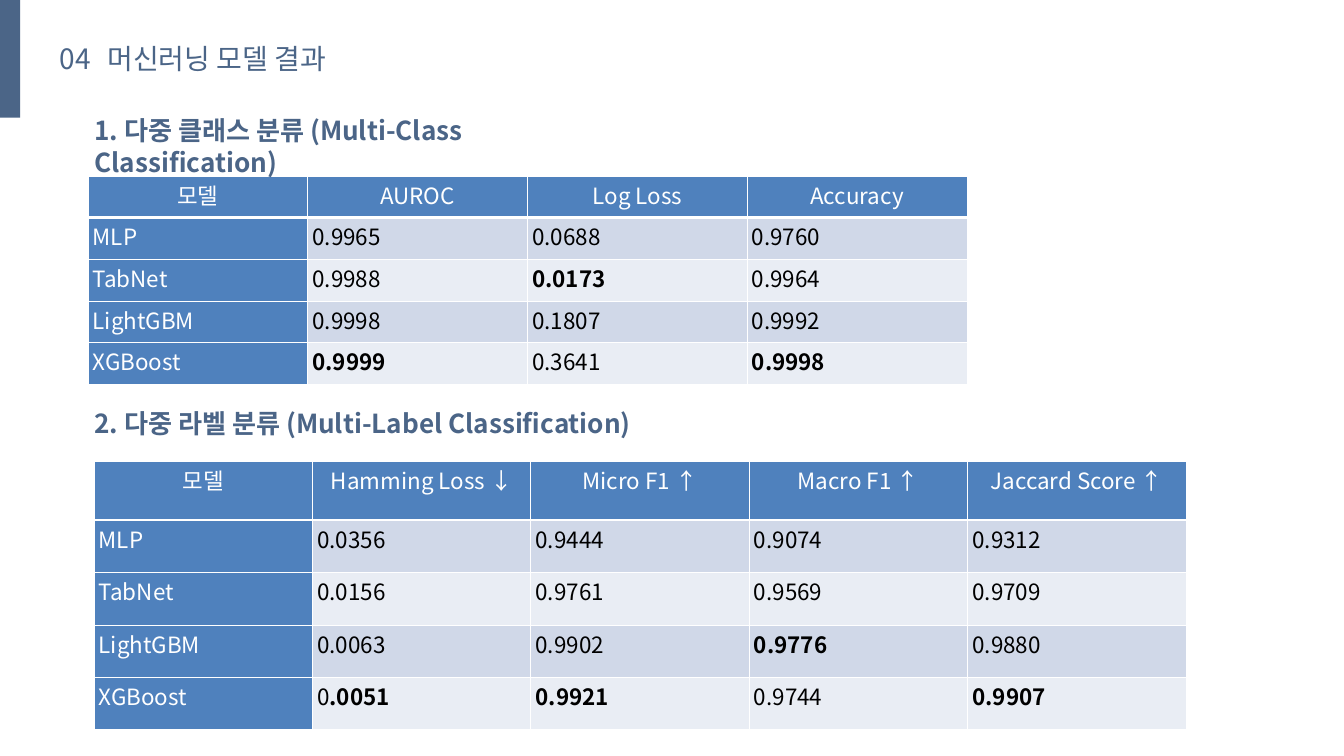
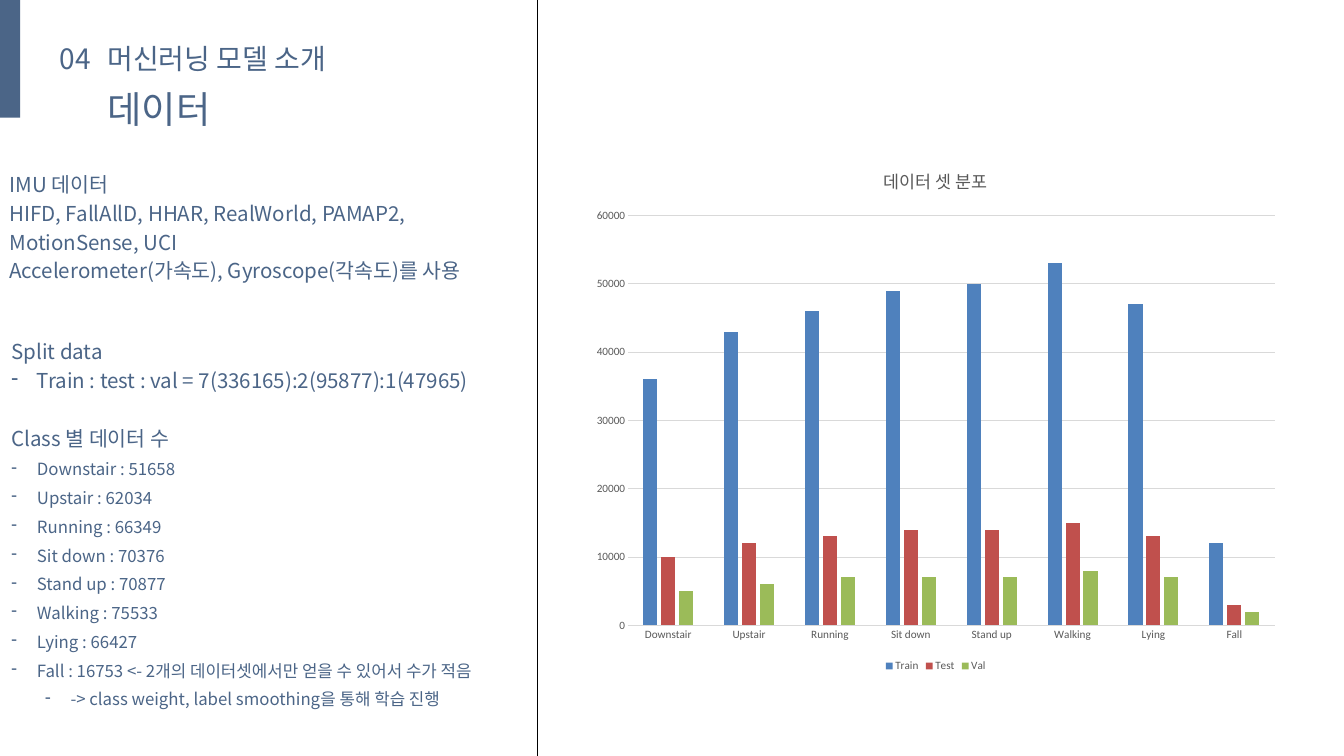
from lxml import etree
from pptx import Presentation
from pptx.chart import data as cd
from pptx.dml import color
from pptx.enum import chart as ce
from pptx.enum import shapes, text
from pptx.oxml import ns
from pptx.util import Inches, Pt

COLORS = {
    "navy": "4B6587", "white": "FFFFFF", "black": "000000",
    "header": "4F81BD", "band_dark": "D0D8E8", "band_light": "E9EDF4",
    "train": "4F81BD", "test": "C0504D", "val": "9BBB59",
    "label": "595959", "grid": "D9D9D9",
}
BODY = "Noto Sans CJK KR"
TABLE = "Noto Sans CJK SC"
CHART = "Calibri"


def rgb(name):
    return color.RGBColor.from_string(COLORS[name])


def sub(parent, tag, **attrs):
    return etree.SubElement(parent, ns.qn(tag), attrs)


class Deck:
    def __init__(self):
        self.prs = Presentation()
        self.prs.slide_width, self.prs.slide_height = Inches(20), Inches(11.25)
        self.s = None

    def new_slide(self, title):
        self.s = self.prs.slides.add_slide(self.prs.slide_layouts[6])
        sp = self.s.shapes.add_shape(
            shapes.MSO_SHAPE.RECTANGLE, 0, 0, Inches(0.3), Inches(1.75))
        sp.shadow.inherit = False
        sp.fill.solid()
        sp.fill.fore_color.rgb = rgb("navy")
        sp.line.fill.background()
        self.text(0.89, 0.54, 0.71, 0.58, ["04"], 30, 42)
        self.text(1.6, 0.54, 5.44, 0.58, [title], 30, 42)

    def style(self, r, size, fill="navy", font=BODY, bold=False):
        r.font.size, r.font.name, r.font.bold = Pt(size), font, bold
        r.font.color.rgb = rgb(fill)
        sub(r._r.get_or_add_rPr(), "a:ea", typeface=font)

    def box(self, x, y, w, h):
        tf = self.s.shapes.add_textbox(
            Inches(x), Inches(y), Inches(w), Inches(h)).text_frame
        tf.word_wrap = True
        return tf

    def text(self, x, y, w, h, lines, size, spacing):
        tf = self.box(x, y, w, h)
        tf.margin_left = tf.margin_top = tf.margin_right = tf.margin_bottom = 0
        tf.text = "\n".join(lines)
        for p in tf.paragraphs:
            p.line_spacing = Pt(spacing)
            self.style(p.runs[0], size)
        return tf

    def heading(self, x, y, w, title):
        tf = self.box(x, y, w, 0.57)
        tf.vertical_anchor = text.MSO_ANCHOR.MIDDLE
        tf.text = title
        self.style(tf.paragraphs[0].runs[0], 28, bold=True)

    def bullet(self, p, level=0):
        p.level = level
        pPr = p._p.get_or_add_pPr()
        pPr.set("marL", str(Inches(0.38 + 0.5 * level)))
        pPr.set("indent", str(-Inches(0.38)))
        sub(pPr, "a:buChar", char="-")

    def border(self, tcPr, side, width):
        ln = sub(tcPr, f"a:ln{side}", w=str(Pt(width)))
        sub(sub(ln, "a:solidFill"), "a:srgbClr", val=COLORS["white"])

    def cell(self, cell, content, row, col):
        cell.margin_left = cell.margin_right = Inches(0.07)
        cell.margin_top = cell.margin_bottom = 0
        tcPr = cell._tc.get_or_add_tcPr()
        for side in "LRTB":
            thick = (side, row) in (("B", 0), ("T", 1))
            self.border(tcPr, side, 3 if thick else 1)
        label = row == 0 or col == 0
        cell.fill.solid()
        cell.fill.fore_color.rgb = rgb(
            "header" if label else "band_dark" if row % 2 else "band_light")
        p = cell.text_frame.paragraphs[0]
        p.line_spacing = 1.07
        if row == 0:
            p.alignment = text.PP_ALIGN.CENTER
        for i, part in enumerate(content.split("*")):
            if part:
                r = p.add_run()
                r.text = part
                self.style(r, 24, "white" if label else "black", TABLE, i == 1)

    def table(self, x, y, col_width, heights, rows):
        cols = len(rows[0])
        t = self.s.shapes.add_table(
            len(rows), cols, Inches(x), Inches(y),
            Inches(col_width * cols), Inches(sum(heights))).table
        for column in t.columns:
            column.width = Inches(col_width)
        for i, (height, row) in enumerate(zip(heights, rows)):
            t.rows[i].height = Inches(height)
            for j, content in enumerate(row):
                self.cell(t.cell(i, j), content, i, j)

    def line(self, x1, y1, x2, y2):
        c = self.s.shapes.add_connector(
            shapes.MSO_CONNECTOR.STRAIGHT,
            Inches(x1), Inches(y1), Inches(x2), Inches(y2))
        c.line.color.rgb = rgb("black")
        c.line.width = Pt(0.75)
        sub(c._element.spPr, "a:effectLst")

    def columns(self, x, y, w, h, title, cats, series):
        data = cd.CategoryChartData()
        data.categories = cats
        for name, values in series.items():
            data.add_series(name, values)
        chart = self.s.shapes.add_chart(
            ce.XL_CHART_TYPE.COLUMN_CLUSTERED,
            Inches(x), Inches(y), Inches(w), Inches(h), data).chart
        chart.font.name, chart.font.size = CHART, Pt(12)
        chart.font.color.rgb = rgb("label")
        chart.has_title = True
        tf = chart.chart_title.text_frame
        tf.text = title
        self.style(tf.paragraphs[0].runs[0], 18.6, "label")
        chart.has_legend = True
        chart.legend.position = ce.XL_LEGEND_POSITION.BOTTOM
        chart.legend.include_in_layout = False
        plot = chart.plots[0]
        plot.vary_by_categories = False
        plot.gap_width, plot.overlap = 219, -27
        for ser in plot.series:
            ser.format.fill.solid()
            ser.format.fill.fore_color.rgb = rgb(ser.name.lower())
        for axis in (chart.category_axis, chart.value_axis):
            axis.major_tick_mark = ce.XL_TICK_MARK.NONE
        value = chart.value_axis
        value.minimum_scale, value.maximum_scale = 0, 60000
        value.major_unit = 10000
        value.format.line.fill.background()
        for ln in (chart.category_axis.format.line,
                   value.major_gridlines.format.line):
            ln.color.rgb = rgb("grid")
            ln.width = Pt(0.75)


def results(d):
    d.new_slide("머신러닝 모델 결과")
    d.table(1.4, 6.87, 3.25, [0.87] + [0.78] * 4, [
        ["모델", "Hamming Loss ↓", "Micro F1 ↑", "Macro F1 ↑", "Jaccard Score ↑"],
        ["MLP", "0.0356", "0.9444", "0.9074", "0.9312"],
        ["TabNet", "0.0156", "0.9761", "0.9569", "0.9709"],
        ["LightGBM", "0.0063", "0.9902", "*0.9776", "0.9880"],
        ["XGBoost", "0*.0051", "*0.9921", "0.9744", "*0.9907"],
    ])
    d.heading(1.31, 6.01, 18, "2. 다중 라벨 분류 (Multi-Label Classification)")
    d.table(1.31, 2.62, 3.27, [0.62] * 5, [
        ["모델", "AUROC", "Log Loss", "Accuracy"],
        ["MLP", "0.9965", "0.0688", "0.9760"],
        ["TabNet", "0.9988", "*0.0173", "0.9964"],
        ["LightGBM", "0.9998", "0.1807", "0.9992"],
        ["XGBoost", "*0.9999", "0.3641", "*0.9998"],
    ])
    d.heading(1.31, 1.89, 8.16, "1. 다중 클래스 분류 (Multi-Class Classification)")


def dataset(d):
    d.new_slide("머신러닝 모델 소개")
    d.text(1.6, 1.36, 5.44, 0.6, ["데이터"], 40, 42)
    d.text(0.14, 2.5, 7.8, 1.74, [
        "IMU 데이터",
        "HIFD, FallAllD, HHAR, RealWorld, PAMAP2, MotionSense, UCI",
        "Accelerometer(가속도), Gyroscope(각속도)를 사용",
    ], 22, 30.8)
    d.line(7.99, 11.25, 7.99, 0)

    counts = {
        "Downstair": "51658", "Upstair": "62034", "Running": "66349",
        "Sit down": "70376", "Stand up": "70877", "Walking": "75533",
        "Lying": "66427",
        "Fall": "16753 <- 2개의 데이터셋에서만 얻을 수 있어서 수가 적음",
    }
    tf = d.text(0.17, 4.99, 7.8, 6.09, [
        "Split data",
        "Train : test : val = 7(336165):2(95877):1(47965)",
        "Class 별 데이터 수",
        *(f"{name} : {count}" for name, count in counts.items()),
        "-> class weight, label smoothing을 통해 학습 진행",
    ], 22, 30.8)
    split, ratio, by_class, *items = tf.paragraphs
    by_class.space_before = Pt(30.8)
    d.bullet(ratio)
    for p in items:
        d.bullet(p, 1 if p is items[-1] else 0)
        p.runs[0].font.size = Pt(18)

    d.columns(8.67, 2.21, 10.51, 7.84, "데이터 셋 분포", list(counts), {
        "Train": [36000, 43000, 46000, 49000, 50000, 53000, 47000, 12000],
        "Test": [10000, 12000, 13000, 14000, 14000, 15000, 13000, 3000],
        "Val": [5000, 6000, 7000, 7000, 7000, 8000, 7000, 2000],
    })


def main():
    d = Deck()
    results(d)
    dataset(d)
    d.prs.save("out.pptx")


if __name__ == "__main__":
    main()
